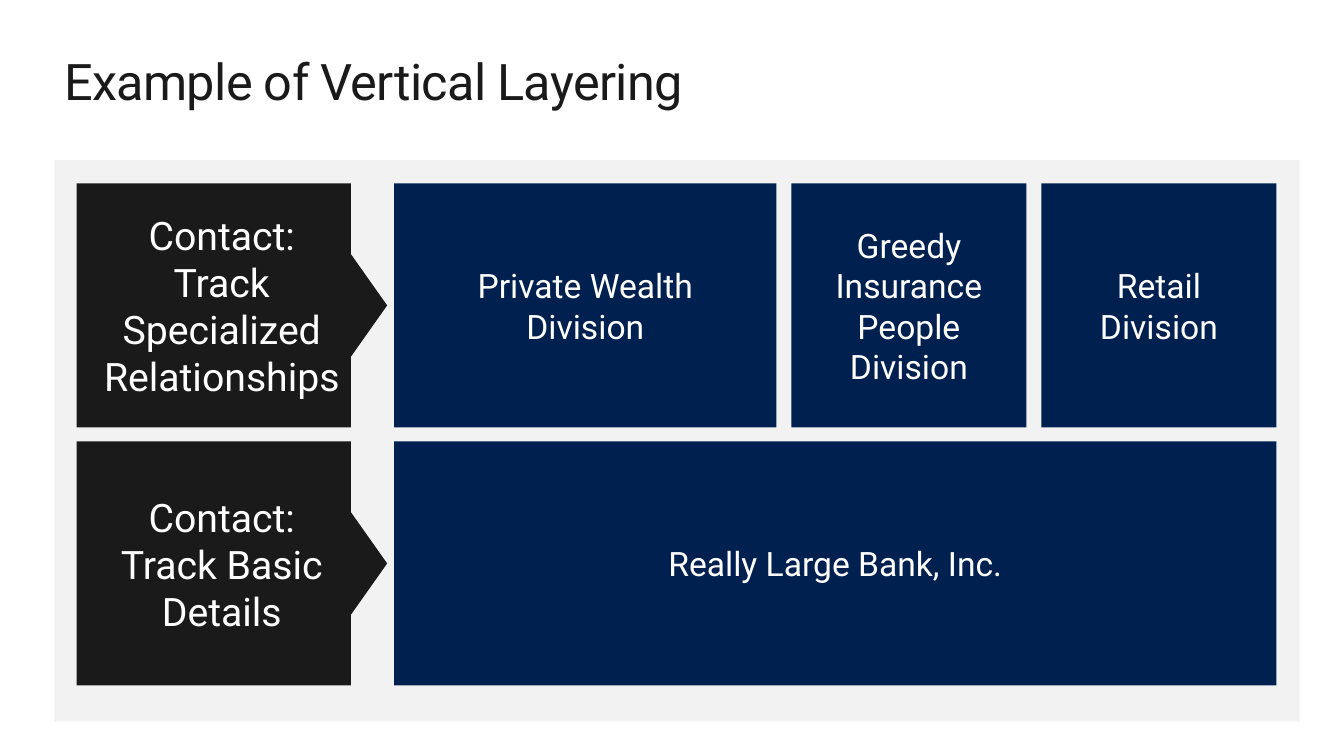
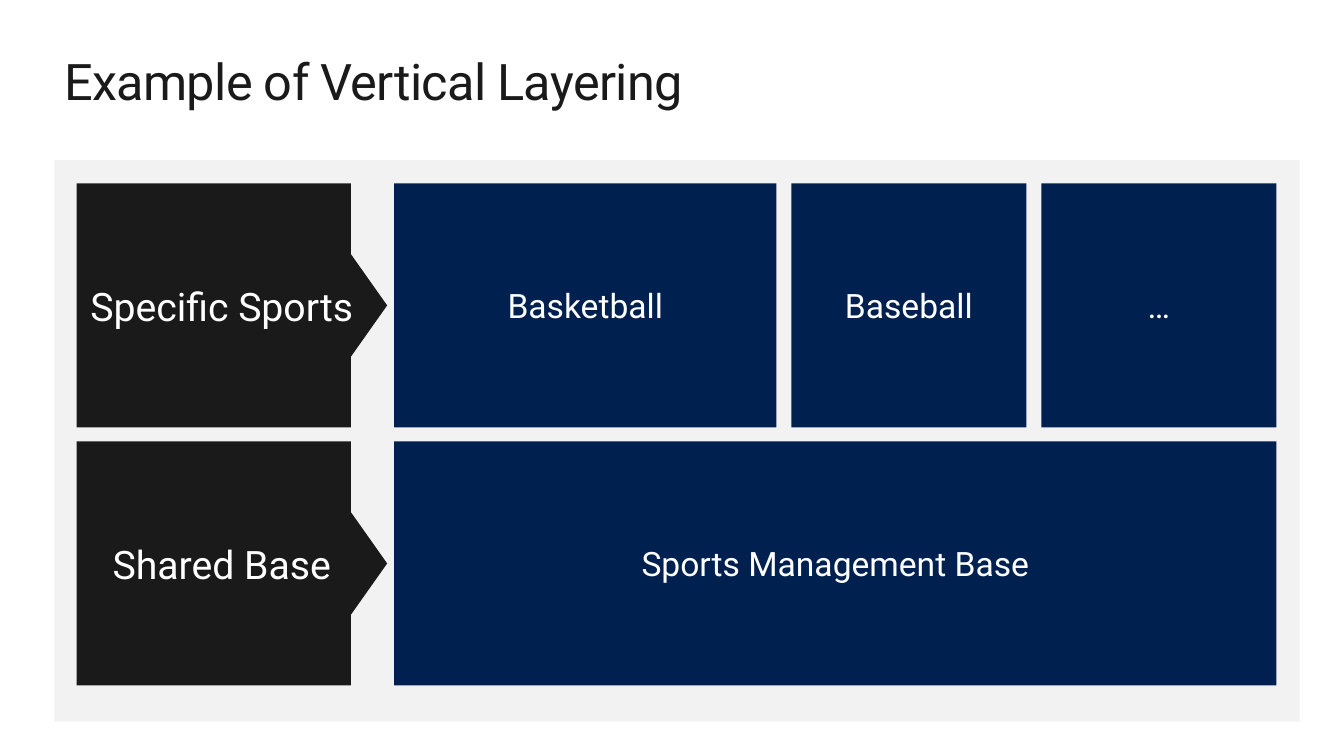
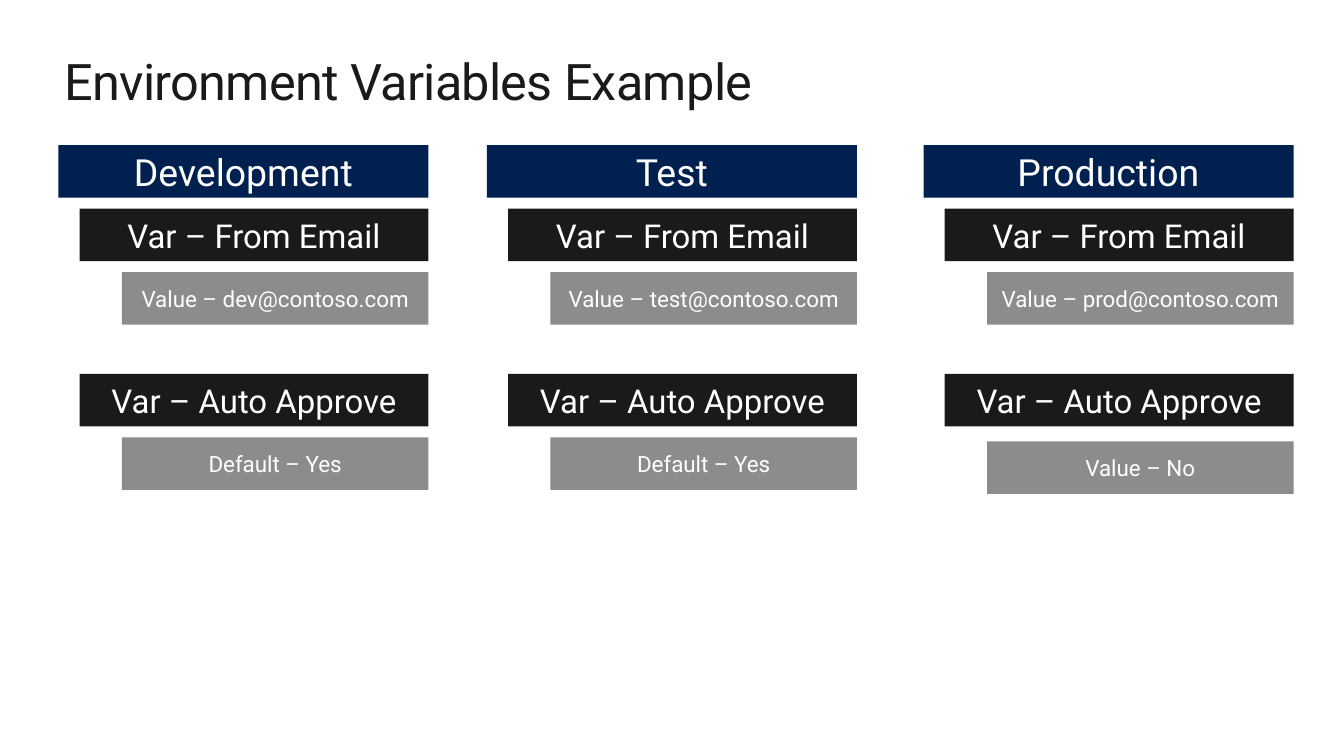
from dataclasses import dataclass

from pptx import Presentation
from pptx.dml.color import RGBColor
from pptx.enum.shapes import MSO_SHAPE
from pptx.enum.text import MSO_ANCHOR, PP_ALIGN
from pptx.util import Inches, Pt


@dataclass(frozen=True)
class Theme:
    font: str = "Roboto"
    ink: str = "1A1A1A"
    navy: str = "002050"
    gray: str = "8C8C8C"
    panel: str = "F2F2F2"
    white: str = "FFFFFF"
    title_size: float = 36
    label_size: float = 28
    block_size: float = 24
    header_size: float = 26.7
    variable_size: float = 23.5
    value_size: float = 16


THEME = Theme()

LAYER_SLIDES = [
    ("Example of Vertical Layering", [
        ("Contact:\vTrack Specialized\vRelationships",
         ["Private Wealth\vDivision", "Greedy Insurance People Division", "Retail\vDivision"]),
        ("Contact:\vTrack Basic Details", ["Really Large Bank, Inc."]),
    ]),
    ("Example of Vertical Layering", [
        ("Specific Sports", ["Basketball", "Baseball", "…"]),
        ("Shared Base", ["Sports Management Base"]),
    ]),
]
BLOCK_WIDTHS = {3: (3.79, 2.33, 2.33), 1: (8.75,)}
PANEL = (0.54, 1.59, 12.35, 5.57)
LAYER_TOP, LAYER_HEIGHT, LAYER_GAP = 1.82, 2.42, 0.14
LABEL_LEFT, LABEL_BODY, LABEL_WIDTH, HEAD_HALF = 0.76, 2.72, 3.08, 0.51
BLOCK_LEFT, BLOCK_GAP = 3.91, 0.15
BLOCK_INSETS = (0.05, 0.04, 0.05, 0.04)
LABEL_INSETS = (0.1, 0.05, 0.3, 0.05)

VARIABLES_TITLE = "Environment Variables Example"
ENVIRONMENTS = [
    ("Development", 4.25, "Value – dev@contoso.com", "Default – Yes", 4.34),
    ("Test", 8.5, "Value – test@contoso.com", "Default – Yes", 4.34),
    ("Production", 12.83, "Value – prod@contoso.com", "Value – No", 4.38),
]
BAR_HEIGHT = 0.52
BAR_INSETS = (0.13, 0.07, 0.13, 0.07)
HEADER = (3.67, THEME.navy, THEME.header_size)
VARIABLE = (3.46, THEME.ink, THEME.variable_size)
VALUE = (3.04, THEME.gray, THEME.value_size)


def set_text(sp, text, size, color, insets, align=PP_ALIGN.CENTER, anchor=MSO_ANCHOR.MIDDLE):
    tf = sp.text_frame
    tf.word_wrap = True
    tf.vertical_anchor = anchor
    tf.margin_left, tf.margin_top, tf.margin_right, tf.margin_bottom = map(Inches, insets)
    p = tf.paragraphs[0]
    p.text = text
    p.alignment = align
    for r in p.runs:
        r.font.name = THEME.font
        r.font.size = Pt(size)
        r.font.color.rgb = RGBColor.from_string(color)


def set_fill(sp, color):
    sp.shadow.inherit = False
    sp.fill.solid()
    sp.fill.fore_color.rgb = RGBColor.from_string(color)
    sp.line.fill.background()


def add_box(s, box, color):
    sp = s.shapes.add_shape(MSO_SHAPE.RECTANGLE, *map(Inches, box))
    set_fill(sp, color)
    return sp


def add_arrow_label(s, top, text):
    body = LABEL_LEFT + LABEL_BODY
    middle, bottom = top + LAYER_HEIGHT / 2, top + LAYER_HEIGHT
    outline = [
        (LABEL_LEFT, top), (body, top), (body, middle - HEAD_HALF),
        (LABEL_LEFT + LABEL_WIDTH, middle), (body, middle + HEAD_HALF),
        (body, bottom), (LABEL_LEFT, bottom),
    ]
    points = [(Inches(x), Inches(y)) for x, y in outline]
    builder = s.shapes.build_freeform(*points[0])
    builder.add_line_segments(points[1:], close=True)
    sp = builder.convert_to_shape()
    set_fill(sp, THEME.ink)
    set_text(sp, text, THEME.label_size, THEME.white, LABEL_INSETS)


def add_slide(prs, title):
    s = prs.slides.add_slide(prs.slide_layouts[6])
    sp = s.shapes.add_textbox(Inches(0.64), Inches(0.5), Inches(12.05), Inches(0.61))
    set_text(sp, title, THEME.title_size, THEME.ink, (0, 0, 0, 0), PP_ALIGN.LEFT, MSO_ANCHOR.TOP)
    for r in sp.text_frame.paragraphs[0].runs:
        r.font._element.set("spc", "-50")
    return s


def add_layer_slide(prs, title, layers):
    s = add_slide(prs, title)
    add_box(s, PANEL, THEME.panel)
    for i, (label, blocks) in enumerate(layers):
        top = LAYER_TOP + i * (LAYER_HEIGHT + LAYER_GAP)
        add_arrow_label(s, top, label)
        left = BLOCK_LEFT
        for text, width in zip(blocks, BLOCK_WIDTHS[len(blocks)]):
            sp = add_box(s, (left, top, width, LAYER_HEIGHT), THEME.navy)
            set_text(sp, text, THEME.block_size, THEME.white, BLOCK_INSETS)
            left += width + BLOCK_GAP


def add_variables_slide(prs):
    s = add_slide(prs, VARIABLES_TITLE)
    for name, right, email, approval, approval_top in ENVIRONMENTS:
        bars = [
            (HEADER, 1.44, name),
            (VARIABLE, 2.07, "Var – From Email"),
            (VALUE, 2.7, email),
            (VARIABLE, 3.71, "Var – Auto Approve"),
            (VALUE, approval_top, approval),
        ]
        for (width, color, size), top, text in bars:
            sp = add_box(s, (right - width, top, width, BAR_HEIGHT), color)
            set_text(sp, text, size, THEME.white, BAR_INSETS)


def main():
    prs = Presentation()
    prs.slide_width, prs.slide_height = Inches(13.33), Inches(7.5)
    for title, layers in LAYER_SLIDES:
        add_layer_slide(prs, title, layers)
    add_variables_slide(prs)
    prs.save("out.pptx")


if __name__ == "__main__":
    main()
